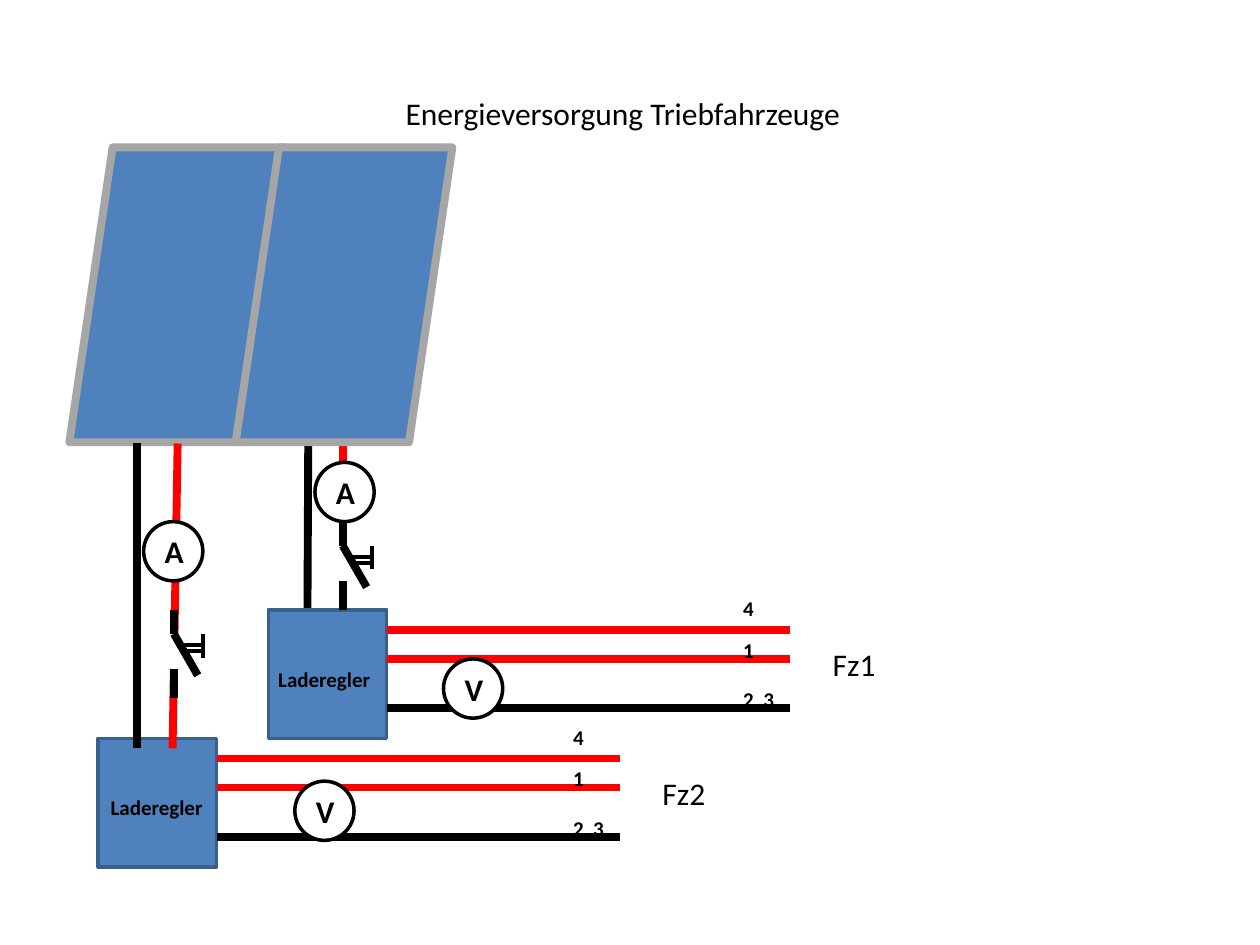
from pptx import Presentation
from pptx.dml.color import RGBColor
from pptx.enum.shapes import MSO_CONNECTOR, MSO_SHAPE
from pptx.enum.text import MSO_ANCHOR, MSO_AUTO_SIZE, PP_ALIGN
from pptx.oxml.ns import qn
from pptx.util import Inches, Pt
from lxml.etree import SubElement

BLACK = RGBColor(0x00, 0x00, 0x00)
WHITE = RGBColor(0xFF, 0xFF, 0xFF)
RED = RGBColor(0xFF, 0x00, 0x00)
BLUE = RGBColor(0x4F, 0x81, 0xBD)
NAVY = RGBColor(0x3A, 0x5F, 0x8C)
GREY = RGBColor(0xA6, 0xA6, 0xA6)

TITLE = ("Energieversorgung Triebfahrzeuge", 3.12, 0.7, 3.69)
PANEL_LEFTS = (0.55, 1.87)
PANEL_TOP, PANEL_W, PANEL_H = 1.17, 1.72, 2.34
BOX_W, BOX_H = 0.94, 1.02
METER_SIZE = 0.47
WIRE_LENGTH = 3.2
PIN_OFFSET = 3.67

CIRCUITS = [
    {
        "vehicle": ("Fz1", 0.58),
        "box": (2.13, 4.84),
        "feeds": [((2.45, 2.74), (2.44, 4.92), BLACK), ((2.72, 2.73), (2.72, 4.92), RED)],
        "meters": [("A", 2.5, 3.67), ("V", 3.52, 5.23)],
        "switch": (2.72, 4.14),
        "caption_shift": -0.02,
    },
    {
        "vehicle": ("Fz2", 0.6),
        "box": (0.78, 5.86),
        "feeds": [((1.09, 3.52), (1.09, 5.94), BLACK), ((1.41, 3.52), (1.37, 5.94), RED)],
        "meters": [("A", 1.14, 4.14), ("V", 2.34, 6.2)],
        "switch": (1.38, 4.84),
        "caption_shift": 0,
    },
]
OUTPUTS = [
    ("4", 0.29, 0.16, -0.16, RED),
    ("1", 0.29, 0.39, 0.17, RED),
    ("2  3", 0.45, 0.78, 0.56, BLACK),
]
SWITCH_PARTS = [
    ((0, 0), (0, 0.7), BLACK, 4.5),
    ((0, 0.19), (0, 0.47), WHITE, 6),
    ((0, 0.19), (0.19, 0.52), BLACK, 4.5),
    ((0.05, 0.28), (0.23, 0.28), BLACK, 2.25),
    ((0.09, 0.33), (0.23, 0.33), BLACK, 2.25),
    ((0.23, 0.19), (0.23, 0.38), BLACK, 2.25),
]

deck = Presentation()
deck.slide_width, deck.slide_height = Inches(10), Inches(7.5)
slide = deck.slides.add_slide(deck.slide_layouts[6])


def write(frame, text, size, bold):
    run = frame.paragraphs[0].add_run()
    run.text = text
    for name, value in {"name": "Calibri", "size": Pt(size), "bold": bold}.items():
        setattr(run.font, name, value)
    run.font.color.rgb = BLACK


def add_label(text, left, top, width, size=18, bold=False):
    height = 0.4 if size == 18 else 0.3
    label = slide.shapes.add_textbox(*map(Inches, (left, top, width, height)))
    label.text_frame.word_wrap = False
    label.text_frame.auto_size = MSO_AUTO_SIZE.SHAPE_TO_FIT_TEXT
    write(label.text_frame, text, size, bold)


def add_part(preset, left, top, width, height, fill, outline, weight):
    part = slide.shapes.add_shape(preset, *map(Inches, (left, top, width, height)))
    part.shadow.inherit = False
    part.fill.solid()
    part.fill.fore_color.rgb = fill
    part.line.color.rgb = outline
    part.line.width = Pt(weight)
    return part


def add_wire(start, end, color, weight=4.5, shapes=slide.shapes):
    wire = shapes.add_connector(MSO_CONNECTOR.STRAIGHT, *map(Inches, start + end))
    wire.line.color.rgb = color
    wire.line.width = Pt(weight)
    SubElement(wire._element.spPr, qn("a:effectLst"))


def add_feeds(circuit):
    for start, end, color in circuit["feeds"]:
        add_wire(start, end, color)


def add_meter(letter, left, top):
    meter = add_part(MSO_SHAPE.OVAL, left, top, METER_SIZE, METER_SIZE, WHITE, BLACK, 2)
    meter.text_frame.vertical_anchor = MSO_ANCHOR.MIDDLE
    meter.text_frame.paragraphs[0].alignment = PP_ALIGN.CENTER
    write(meter.text_frame, letter, 18, True)


def add_switch(left, top):
    switch = slide.shapes.add_group_shape()
    for (x1, y1), (x2, y2), color, weight in SWITCH_PARTS:
        add_wire((left + x1, top + y1), (left + x2, top + y2), color, weight, switch.shapes)


def add_controller(circuit):
    left, top = circuit["box"]
    right = left + BOX_W
    add_part(MSO_SHAPE.RECTANGLE, left, top, BOX_W, BOX_H, BLUE, NAVY, 2)
    add_label("Laderegler", left + circuit["caption_shift"], top + 0.4, BOX_W, 12, True)
    for pins, width, wire_drop, pin_drop, color in OUTPUTS:
        add_wire((right + WIRE_LENGTH, top + wire_drop), (right, top + wire_drop), color)
        add_label(pins, left + PIN_OFFSET, top + pin_drop, width, 12, True)
    vehicle, width = circuit["vehicle"]
    add_label(vehicle, left + 4.38, top + 0.23, width)


rear, front = CIRCUITS
add_label(*TITLE)
add_feeds(rear)
for panel_left in PANEL_LEFTS:
    add_part(MSO_SHAPE.FLOWCHART_DATA, panel_left, PANEL_TOP, PANEL_W, PANEL_H, BLUE, GREY, 4.5)
for circuit in CIRCUITS:
    add_controller(circuit)
add_feeds(front)
for circuit in CIRCUITS:
    for meter in circuit["meters"]:
        add_meter(*meter)
    add_switch(*circuit["switch"])

deck.save("out.pptx")
